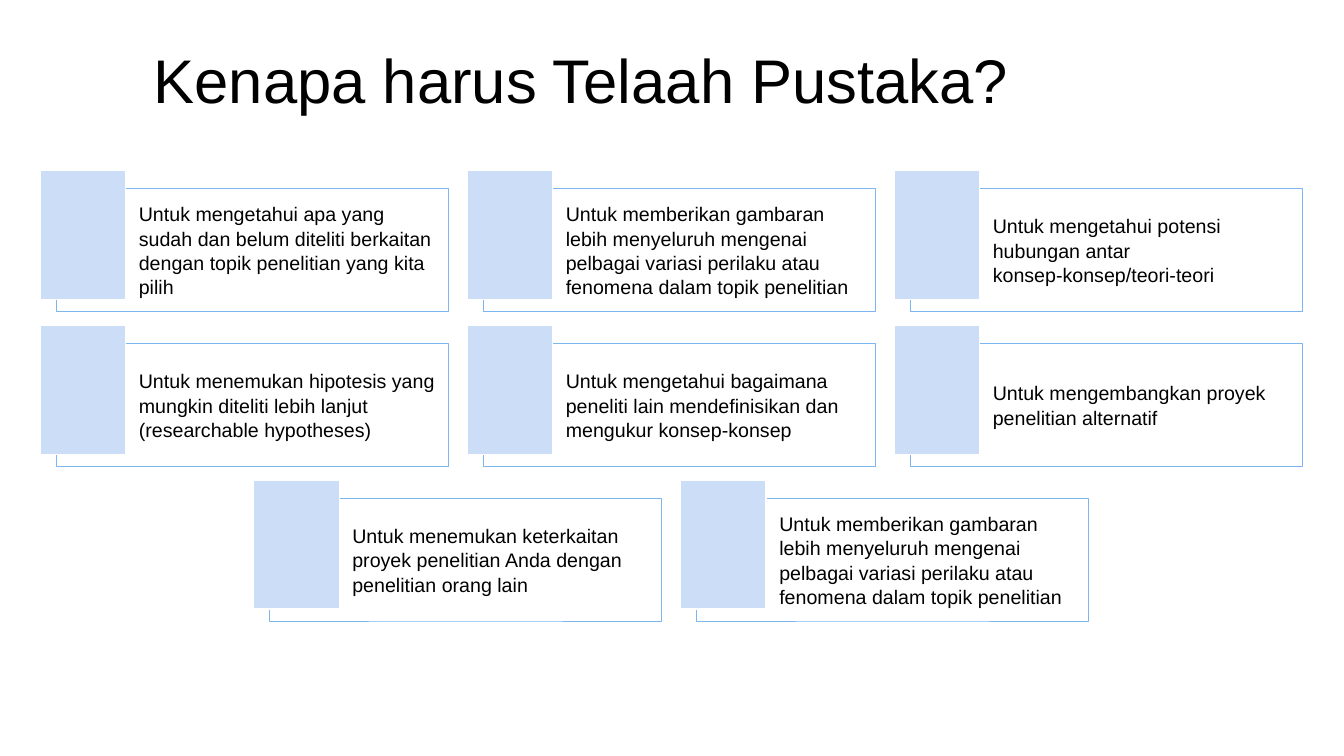
from dataclasses import dataclass

from lxml import etree
from pptx import Presentation
from pptx import util as u
from pptx.dml.color import RGBColor
from pptx.enum import shapes, text
from pptx.oxml.ns import qn


@dataclass(frozen=True)
class Theme:
    font: str = "Arial"
    ink: str = "000000"
    paper: str = "FFFFFF"
    outline: str = "7DB6EF"
    marker: str = "CCDEF7"
    title_size: int = 44
    body_size: int = 14


TITLE = "Kenapa harus Telaah Pustaka?"
REASON_ROWS = [
    ["Untuk mengetahui apa yang sudah dan belum diteliti berkaitan dengan topik penelitian yang kita pilih",
     "Untuk memberikan gambaran lebih menyeluruh mengenai pelbagai variasi perilaku atau fenomena dalam topik penelitian",
     "Untuk mengetahui potensi hubungan antar konsep-konsep/teori-teori"],
    ["Untuk menemukan hipotesis yang mungkin diteliti lebih lanjut (researchable hypotheses)",
     "Untuk mengetahui bagaimana peneliti lain mendefinisikan dan mengukur konsep-konsep",
     "Untuk mengembangkan proyek penelitian alternatif"],
    ["Untuk menemukan keterkaitan proyek penelitian Anda dengan penelitian orang lain",
     "Untuk memberikan gambaran lebih menyeluruh mengenai pelbagai variasi perilaku atau fenomena dalam topik penelitian"],
]

# Card grid, in centimetres
GRID_LEFT, GRID_TOP = 1.42, 4.75
COLUMN_STEP, ROW_STEP = 10.76, 3.9
CARD_WIDTH, CARD_HEIGHT = 9.88, 3.1
MARKER_WIDTH, MARKER_HEIGHT = 2.16, 3.25
MARKER_SHIFT_X, MARKER_SHIFT_Y = 0.41, 0.45


class SlideBuilder:
    def __init__(self, page, theme):
        self.page = page
        self.theme = theme

    def set_text(self, shape, words, size, align, margins, spacing=1.0):
        frame = shape.text_frame
        frame.text = words
        para = frame.paragraphs[0]
        span = para.runs[0]
        left, top, right, bottom = (u.Cm(margin) for margin in margins)
        formats = [
            (frame, {"word_wrap": True, "auto_size": text.MSO_AUTO_SIZE.NONE,
                     "vertical_anchor": text.MSO_ANCHOR.MIDDLE,
                     "margin_left": left, "margin_top": top,
                     "margin_right": right, "margin_bottom": bottom}),
            (para, {"alignment": align, "line_spacing": spacing}),
            (span.font, {"name": self.theme.font, "size": u.Pt(size)}),
        ]
        for target, values in formats:
            for name, value in values.items():
                setattr(target, name, value)
        span.font.color.rgb = RGBColor.from_string(self.theme.ink)

    def title(self, words, left, top, width, height):
        holder = self.page.shapes.title
        box = {"left": left, "top": top, "width": width, "height": height}
        for name, value in box.items():
            setattr(holder, name, u.Cm(value))
        self.set_text(holder, words, self.theme.title_size, text.PP_ALIGN.CENTER,
                      (0.25, 0.13, 0.25, 0.13))

    def rectangle(self, left, top, width, height, fill, line, weight):
        shape = self.page.shapes.add_shape(
            shapes.MSO_SHAPE.RECTANGLE, *map(u.Cm, (left, top, width, height)))
        shape.shadow.inherit = False
        shape.fill.solid()
        shape.fill.fore_color.rgb = RGBColor.from_string(fill)
        shape.line.color.rgb = RGBColor.from_string(line)
        shape.line.width = u.Pt(weight)
        return shape

    def reason(self, words, left, top):
        # Outlined card with a translucent fill
        card = self.rectangle(left, top, CARD_WIDTH, CARD_HEIGHT,
                              self.theme.paper, self.theme.outline, 0.5)
        color = card.element.spPr.find(qn("a:solidFill"))[0]
        etree.SubElement(color, qn("a:alpha"), val="40000")
        self.set_text(card, words, self.theme.body_size, text.PP_ALIGN.LEFT,
                      (2.08, 0.15, 0.15, 0.15), spacing=1.04)
        # Marker over the upper left corner
        self.rectangle(left - MARKER_SHIFT_X, top - MARKER_SHIFT_Y,
                       MARKER_WIDTH, MARKER_HEIGHT,
                       self.theme.marker, self.theme.paper, 1)


def main():
    deck = Presentation()
    deck.slide_width, deck.slide_height = u.Cm(33.87), u.Cm(19.05)
    page = deck.slides.add_slide(deck.slide_layouts.get_by_name("Title Only"))
    builder = SlideBuilder(page, Theme())

    # Heading
    builder.title(TITLE, 2.41, 0.97, 24.49, 2.01)

    # Reasons, with shorter rows centred
    columns = max(map(len, REASON_ROWS))
    for row, reasons in enumerate(REASON_ROWS):
        row_left = GRID_LEFT + (columns - len(reasons)) * COLUMN_STEP / 2
        for column, words in enumerate(reasons):
            builder.reason(words, row_left + column * COLUMN_STEP,
                           GRID_TOP + row * ROW_STEP)

    deck.save("out.pptx")


if __name__ == "__main__":
    main()
